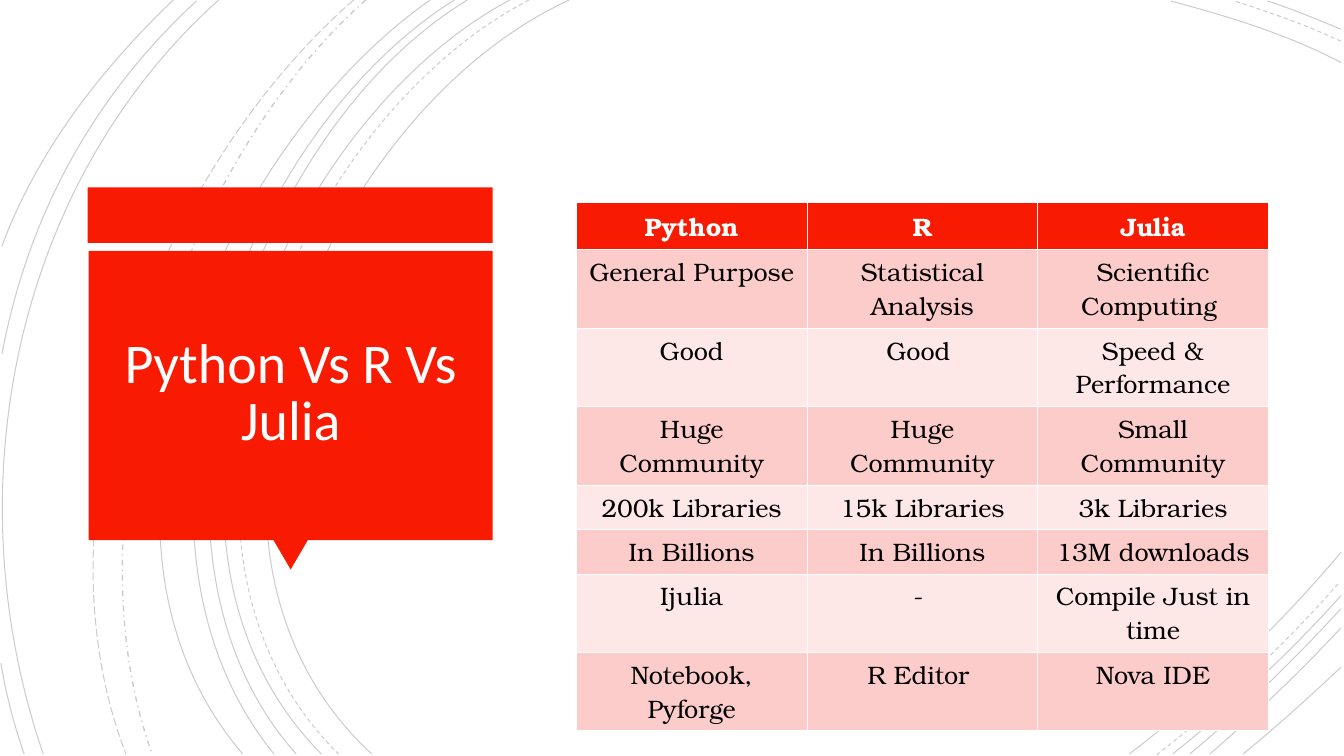
from dataclasses import dataclass

from lxml.etree import SubElement
from pptx import Presentation
from pptx.dml.color import RGBColor
from pptx.enum.dml import MSO_LINE_DASH_STYLE as DASH
from pptx.enum.shapes import MSO_SHAPE as SHAPE
from pptx.enum.text import MSO_ANCHOR, MSO_AUTO_SIZE, PP_ALIGN
from pptx.oxml.ns import qn
from pptx.util import Inches, Pt


@dataclass(frozen=True)
class Theme:
    red: str = "F81B02"
    band_dark: str = "FCCCCB"
    band_light: str = "FEE7E7"
    white: str = "FFFFFF"
    title_white: str = "FFFEFF"
    black: str = "000000"
    title_font: str = "Calibri"
    table_font: str = "TeX Gyre Bonum"
    title_size: int = 40
    table_size: int = 18
    arc_width: float = 0.75
    arc_opacity: int = 20
    border: float = 0.45
    header_border: float = 1.47


THEME = Theme()

# Each arc: start, two control points and end of a cubic curve, in inches
SOLID_ARCS = [
    (5.65, 0, 3.15, 1.15, 1.43, 5.4, 3.69, 7.48),
    (13.31, 0.62, 12.78, 0.34, 12.18, 0.16, 11.62, 0.01),
    (11.21, 7.48, 11.97, 6.9, 12.69, 6.22, 13.31, 5.48),
    (5.06, 0, 2.7, 1.27, 1.1, 5.37, 3.19, 7.48),
    (13.31, 0.29, 13.07, 0.19, 12.83, 0.09, 12.58, 0.01),
    (11.64, 7.48, 12.23, 7.01, 12.8, 6.48, 13.31, 5.91),
    (4.64, 0, 2.44, 1.33, 1.1, 5.41, 2.94, 7.48),
    (11.81, 7.48, 12.34, 7.04, 12.84, 6.55, 13.31, 6.04),
    (4.51, 0, 2.31, 1.38, 0.97, 5.33, 2.72, 7.48),
    (12.01, 7.48, 12.46, 7.09, 12.9, 6.67, 13.31, 6.23),
    (4.27, 0, 2.17, 1.47, 0.53, 5.29, 2.41, 7.48),
    (12.34, 7.48, 12.67, 7.21, 12.99, 6.92, 13.31, 6.62),
    (2.17, 0, 0.11, 1.85, -0.46, 4.9, 0.43, 7.48),
    (1.95, 0.01, 0.92, 0.96, 0.28, 2.14, 0.02, 3.51),
    (0.01, 6.58, 0.06, 6.89, 0.14, 7.19, 0.24, 7.48),
    (1.72, 0, 1, 0.69, 0.37, 1.5, 0.02, 2.44),
]
DASHED_ARCS = [
    (5.25, 0, 2.85, 1.25, 1.23, 5.37, 3.36, 7.48),
    (13.31, 0.41, 12.97, 0.25, 12.6, 0.12, 12.25, 0.01),
    (11.48, 7.49, 12.13, 6.98, 12.75, 6.4, 13.3, 5.77),
]
LONG_DASH_ARC = (3.51, 0, 1.57, 1.69, 0.29, 4.99, 1.25, 7.48)
DASH_DOT_ARC = (3.63, 0, 1.76, 1.66, 0.65, 5.09, 1.51, 7.48)

ROWS = [
    ("Python", "R", "Julia"),
    ("General Purpose", "Statistical Analysis", "Scientific Computing "),
    ("Good", "Good ", "Speed & Performance"),
    ("Huge Community", "Huge Community", "Small Community"),
    ("200k Libraries", "15k Libraries", "3k Libraries"),
    ("In Billions", "In Billions", "13M downloads"),
    ("Ijulia", "- ", "Compile Just in time"),
    ("Notebook, Pyforge", "R Editor ", "Nova IDE"),
]
ONE_LINE, TWO_LINES = 0.44, 0.78
ROW_HEIGHTS = [ONE_LINE, TWO_LINES, TWO_LINES, TWO_LINES,
               ONE_LINE, ONE_LINE, TWO_LINES, ONE_LINE]
COLUMN_WIDTH = 2.29


def rgb(color):
    return RGBColor.from_string(color)


def add_run(p, text, font, size, color, bold=False):
    r = p.add_run()
    r.text = text
    r.font.name, r.font.size, r.font.bold = font, Pt(size), bold
    r.font.color.rgb = rgb(color)


def add_arc(slide, arc, dash=DASH.SOLID, width=THEME.arc_width):
    start, *rest = [(Inches(x), Inches(y)) for x, y in zip(arc[::2], arc[1::2])]
    builder = slide.shapes.build_freeform(*start)
    builder.add_line_segments(rest, close=False)
    sp = builder.convert_to_shape()
    # Turn the three straight segments into one cubic curve
    outline = sp.element.find(".//" + qn("a:path"))
    segments = outline.findall(qn("a:lnTo"))
    curve = SubElement(outline, qn("a:cubicBezTo"))
    for segment in segments:
        curve.append(segment[0])
        outline.remove(segment)
    sp.shadow.inherit = False
    sp.fill.background()
    sp.line.color.rgb = rgb(THEME.black)
    sp.line.width = Pt(width)
    sp.line.dash_style = dash
    color = sp.element.find(".//" + qn("a:ln")).find(".//" + qn("a:srgbClr"))
    SubElement(color, qn("a:alpha"), val=str(THEME.arc_opacity * 1000))


def add_block(slide, kind, left, top, width, height, rotation=0):
    sp = slide.shapes.add_shape(kind, *map(Inches, (left, top, width, height)))
    sp.shadow.inherit = False
    sp.fill.solid()
    sp.fill.fore_color.rgb = rgb(THEME.red)
    sp.line.fill.background()
    sp.rotation = rotation


def place_title(slide, text):
    title = slide.shapes.title
    title.left, title.top = Inches(0.97), Inches(2.57)
    title.width, title.height = Inches(3.83), Inches(2.69)
    # Bring the title in front of the red panel
    title.element.getparent().append(title.element)
    tf = title.text_frame
    tf.word_wrap, tf.auto_size = True, MSO_AUTO_SIZE.NONE
    tf.vertical_anchor = MSO_ANCHOR.MIDDLE
    tf.margin_left = tf.margin_right = Inches(0.25)
    tf.margin_top = tf.margin_bottom = Inches(0.25)
    p = tf.paragraphs[0]
    p.alignment, p.line_spacing = PP_ALIGN.CENTER, 0.85
    add_run(p, text, THEME.title_font, THEME.title_size, THEME.title_white)


def set_borders(cell, top, bottom):
    widths = {"L": THEME.border, "R": THEME.border, "T": top, "B": bottom}
    for side, width in widths.items():
        ln = SubElement(cell._tc.get_or_add_tcPr(), qn(f"a:ln{side}"), w=str(Pt(width)))
        fill = SubElement(ln, qn("a:solidFill"))
        SubElement(fill, qn("a:srgbClr"), val=THEME.white)


def format_cell(cell, text, row):
    header = row == 0
    set_borders(cell,
                top=THEME.header_border if row == 1 else THEME.border,
                bottom=THEME.header_border if header else THEME.border)
    band = THEME.band_dark if row % 2 else THEME.band_light
    cell.fill.solid()
    cell.fill.fore_color.rgb = rgb(THEME.red if header else band)
    p = cell.text_frame.paragraphs[0]
    p.alignment = PP_ALIGN.CENTER
    add_run(p, text, THEME.table_font, THEME.table_size,
            THEME.white if header else THEME.black, bold=header)


def add_comparison(slide):
    columns = len(ROWS[0])
    frame = slide.shapes.add_table(
        len(ROWS), columns, Inches(5.72), Inches(2.01),
        Inches(COLUMN_WIDTH * columns), Inches(sum(ROW_HEIGHTS)))
    table = frame.table
    for column in table.columns:
        column.width = Inches(COLUMN_WIDTH)
    for i, (texts, height) in enumerate(zip(ROWS, ROW_HEIGHTS)):
        table.rows[i].height = Inches(height)
        for j, text in enumerate(texts):
            format_cell(table.cell(i, j), text, i)


def main():
    prs = Presentation()
    prs.slide_width, prs.slide_height = Inches(13.34), Inches(7.5)
    slide = prs.slides.add_slide(prs.slide_layouts[5])

    # Background arcs
    for arc in SOLID_ARCS:
        add_arc(slide, arc)
    for arc in DASHED_ARCS:
        add_arc(slide, arc, DASH.DASH)
    add_arc(slide, LONG_DASH_ARC, DASH.LONG_DASH)
    add_arc(slide, DASH_DOT_ARC, DASH.DASH_DOT, width=1)

    # Red title panel with its pointer
    add_block(slide, SHAPE.RECTANGLE, 0.87, 1.86, 4.02, 0.55)
    add_block(slide, SHAPE.ISOSCELES_TRIANGLE, 2.71, 5.35, 0.35, 0.3, rotation=180)
    add_block(slide, SHAPE.RECTANGLE, 0.88, 2.49, 4.01, 2.87)
    place_title(slide, "Python Vs R Vs Julia")

    # Language comparison
    add_comparison(slide)
    prs.save("out.pptx")


if __name__ == "__main__":
    main()
